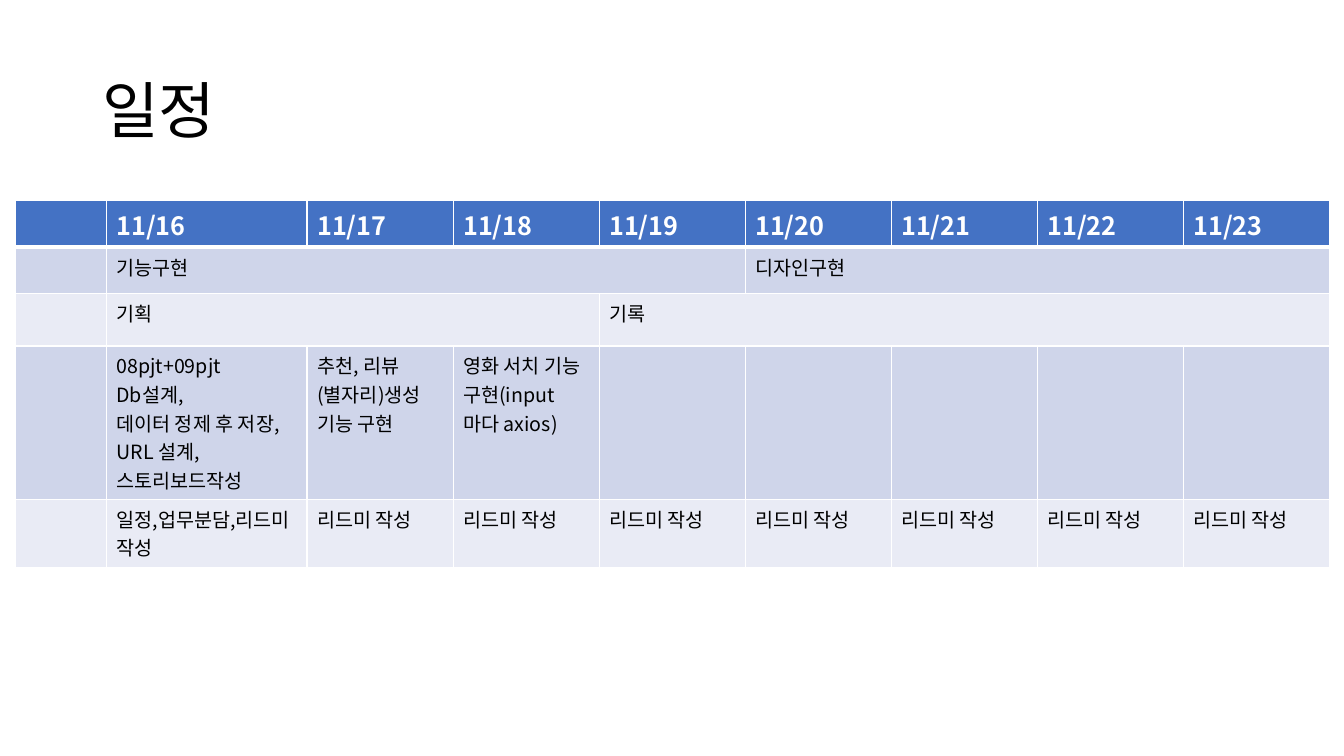
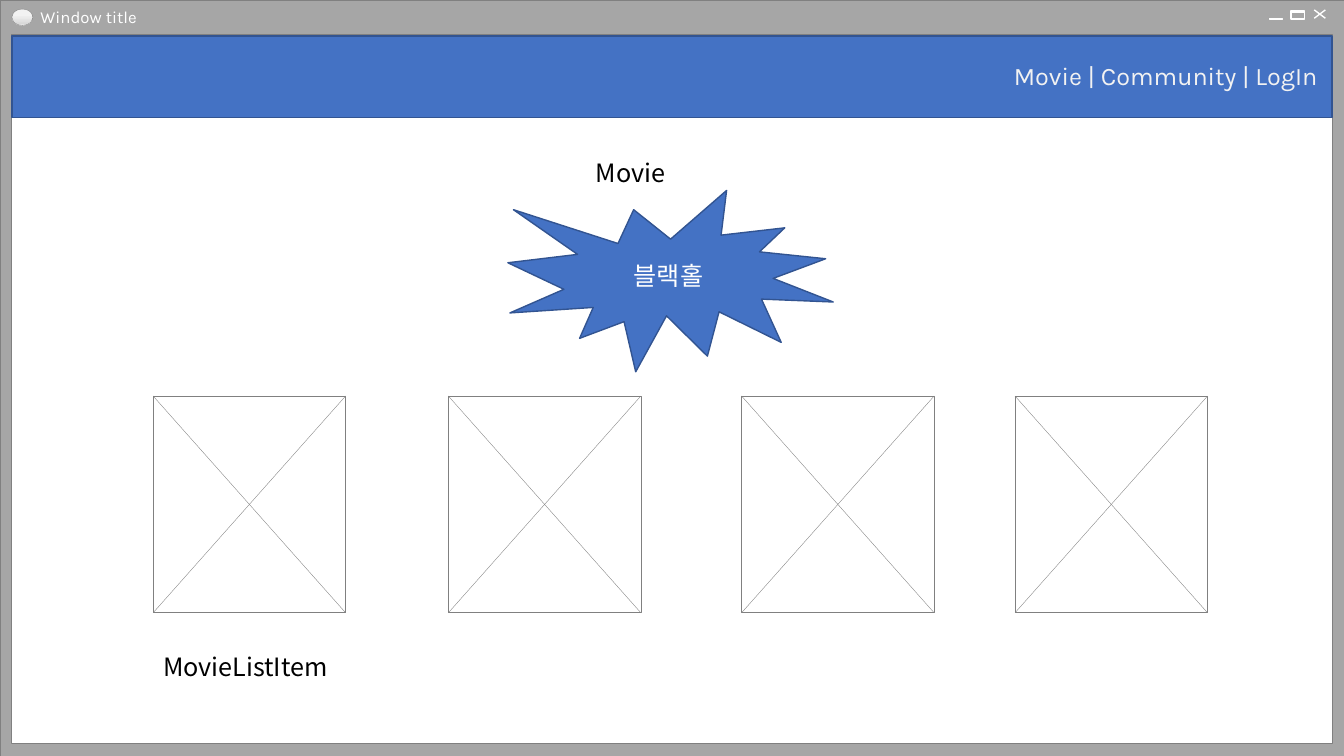
from copy import deepcopy

from lxml import etree
from pptx import Presentation
from pptx.dml.color import RGBColor
from pptx.enum import shapes as es, text as et
from pptx.oxml import ns
from pptx.util import Cm, Pt

BLUE = RGBColor(0x44, 0x72, 0xC4)
NAVY = RGBColor(0x32, 0x54, 0x91)
BAND = RGBColor(0xCF, 0xD5, 0xEA)
PALE = RGBColor(0xE9, 0xEB, 0xF5)
BLACK = RGBColor(0, 0, 0)
WHITE = RGBColor(0xFF, 0xFF, 0xFF)
CHROME = RGBColor(0xA6, 0xA6, 0xA6)
EDGE = RGBColor(0x80, 0x80, 0x80)
DARK = RGBColor(0x91, 0x91, 0x91)
LIGHT = RGBColor(0xF2, 0xF2, 0xF2)
SILVER = RGBColor(0xD9, 0xD9, 0xD9)
KOREAN, LATIN = "Noto Sans CJK KR", "Karla"

DAYS = [f"11/{day}" for day in range(16, 24)]
README = "리드미 작성"
# Each row: height in cm, then (text, columns spanned) from left to right
ROWS = [
    (1.17, [("", 1)] + [(day, 1) for day in DAYS]),
    (1.17, [("", 1), ("기능구현", 4), ("디자인구현", 4)]),
    (1.32, [("", 1), ("기획", 3), ("기록", 5)]),
    (3.86, [("", 1),
            ("08pjt+09pjt\nDb설계,\n데이터 정제 후 저장,\nURL 설계,\n스토리보드작성", 1),
            ("추천, 리뷰(별자리)생성 기능 구현", 1),
            ("영화 서치 기능 구현(input마다 axios)", 1)] + [("", 1)] * 5),
    (1.71, [("", 1), ("일정,업무분담,리드미 작성", 1)] + [(README, 1)] * 7),
]
COLS = [2.29, 5.06] + [3.68] * 7

POSTERS = [3.86, 11.3, 18.69, 25.58]
TOP, WIDE, HIGH = 9.98, 4.85, 5.46
STOPS = [(0.36, LIGHT), (0.91, SILVER), (1, LIGHT)]


def write(frame, words, size=18, color=BLACK, font=KOREAN, bold=False,
          align=et.PP_ALIGN.LEFT, anchor=None, space=None):
    frame.word_wrap = True
    if anchor is not None:
        frame.vertical_anchor = anchor
    for n, line in enumerate(words.split("\n")):
        para = frame.add_paragraph() if n else frame.paragraphs[0]
        para.alignment = align
        if space:
            para.line_spacing = space
        run = para.add_run()
        run.text = line
        run.font.size, run.font.bold, run.font.name = Pt(size), bold, font
        run.font.color.rgb = color
        props = run._r.get_or_add_rPr()
        etree.SubElement(props, ns.qn("a:ea"), typeface=font)


def label(home, box, words, inset=None, **style):
    frame = home.add_textbox(*map(Cm, box)).text_frame
    if inset:
        (frame.margin_left, frame.margin_top,
         frame.margin_right, frame.margin_bottom) = map(Cm, inset)
    write(frame, words, **style)


def draw(home, box, fill, line=EDGE, weight=0.25,
         kind=es.MSO_SHAPE.RECTANGLE):
    shape = home.add_shape(kind, *map(Cm, box))
    shape.shadow.inherit = False
    if fill is None:
        shape.fill.background()
    else:
        shape.fill.solid()
        shape.fill.fore_color.rgb = fill
    shape.line.color.rgb = line
    shape.line.width = Pt(weight)
    return shape


def cross(home, box, color, weight):
    """Join the opposite corners of a box."""
    left, top, wide, high = box
    for start, end in ((top, top + high), (top + high, top)):
        line = home.add_connector(es.MSO_CONNECTOR.STRAIGHT, Cm(left),
                                  Cm(start), Cm(left + wide), Cm(end))
        line.line.color.rgb = color
        line.line.width = Pt(weight)
        etree.SubElement(line._element.spPr, ns.qn("a:effectLst"))


def border(cell, base):
    props = cell._tc.get_or_add_tcPr()
    for side, weight in zip("LRTB", (1, 1, 1, base)):
        line = etree.SubElement(props, ns.qn("a:ln" + side), w=str(Pt(weight)))
        fill = etree.SubElement(line, ns.qn("a:solidFill"))
        etree.SubElement(fill, ns.qn("a:srgbClr"), val=str(WHITE))


def plan(slide):
    home = slide.shapes
    label(home, (2.33, 1.01, 29.21, 3.68), "일정", size=44, space=0.9,
          anchor=et.MSO_ANCHOR.MIDDLE)
    table = home.add_table(len(ROWS), len(COLS), Cm(0.39), Cm(5.06),
                           Cm(sum(COLS)),
                           Cm(sum(high for high, _ in ROWS))).table
    for col, wide in zip(table.columns, COLS):
        col.width = Cm(wide)
    for r, (high, cells) in enumerate(ROWS):
        head = r == 0
        table.rows[r].height = Cm(high)
        for c in range(len(COLS)):
            cell = table.cell(r, c)
            border(cell, 3 if head else 1)
            cell.fill.solid()
            cell.fill.fore_color.rgb = BLUE if head else BAND if r % 2 else PALE
        c = 0
        for words, span in cells:
            cell = table.cell(r, c)
            if span > 1:
                cell.merge(table.cell(r, c + span - 1))
            if words:
                write(cell.text_frame, words, size=18 if head else 14,
                      color=WHITE if head else BLACK, bold=head)
            c += span


def window(home):
    draw(home, (0, 0, 33.87, 19.05), CHROME)
    draw(home, (0.28, 0.86, 33.3, 17.88), WHITE)
    label(home, (0.89, 0.13, 3.71, 0.64), "Window title", size=12,
          color=WHITE, font=LATIN, anchor=et.MSO_ANCHOR.MIDDLE,
          inset=(0.13, 0.05, 0.25, 0.08))
    cross(home, (33.12, 0.25, 0.28, 0.21), WHITE, 1)
    draw(home, (32.54, 0.28, 0.33, 0.03), DARK, WHITE)
    draw(home, (32.54, 0.28, 0.33, 0.2), None, WHITE, 1)
    draw(home, (31.98, 0.46, 0.33, 0.03), DARK, WHITE)
    knob = draw(home, (0.3, 0.23, 0.53, 0.41), LIGHT, kind=es.MSO_SHAPE.OVAL)
    knob.fill.gradient()
    knob.fill.gradient_angle = 270
    ramp = knob._element.spPr.find(".//" + ns.qn("a:gsLst"))
    ramp.append(deepcopy(ramp[-1]))
    for stop, (place, color) in zip(knob.fill.gradient_stops, STOPS):
        stop.position = place
        stop.color.rgb = color


def movies(slide):
    home = slide.shapes
    window(home.add_group_shape().shapes)
    draw(home, (0.3, 0.91, 33.27, 2.06), BLUE, NAVY, 1)
    label(home, (25.3, 1.47, 8.31, 0.94), "Movie | Community | LogIn",
          color=LIGHT, font=LATIN, anchor=et.MSO_ANCHOR.MIDDLE,
          inset=(0.25, 0.05, 0.25, 0.13))
    for left in POSTERS:
        group = home.add_group_shape().shapes
        box = (left, TOP, WIDE, HIGH)
        draw(group, box, WHITE)
        cross(group, box, EDGE, 0.25)
    label(home, (14.76, 3.84, 11.35, 1.03), "Movie")
    label(home, (3.86, 16.28, 4.85, 1.03), "MovieListItem")
    burst = draw(home, (12.8, 4.8, 8.2, 4.57), BLUE, NAVY, 1,
                 es.MSO_SHAPE.EXPLOSION1)
    write(burst.text_frame, "블랙홀", color=WHITE, align=et.PP_ALIGN.CENTER,
          anchor=et.MSO_ANCHOR.MIDDLE)


def main():
    deck = Presentation()
    deck.slide_width, deck.slide_height = Cm(33.87), Cm(19.05)
    for build in (plan, movies):
        build(deck.slides.add_slide(deck.slide_layouts[6]))
    deck.save("out.pptx")


if __name__ == "__main__":
    main()
